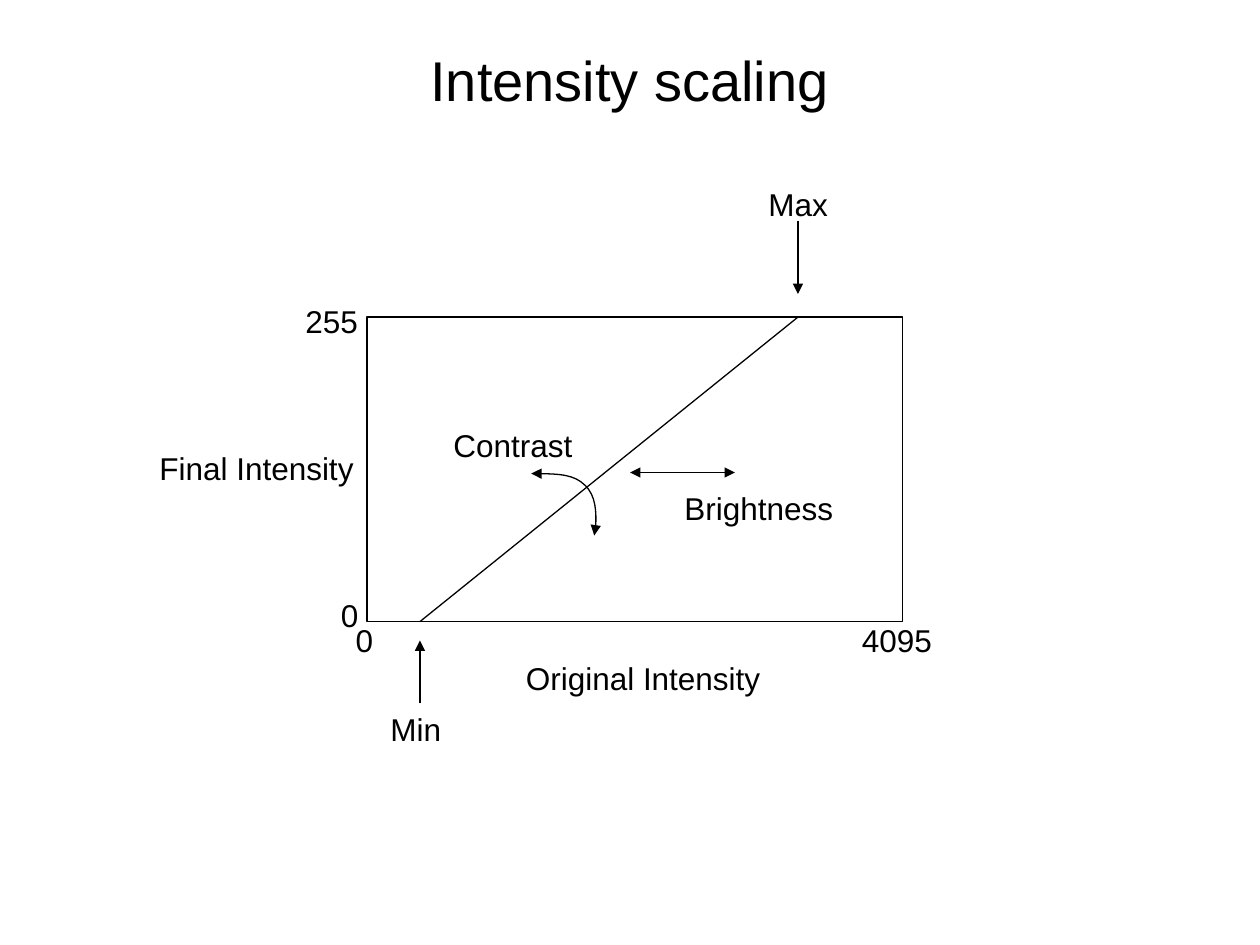
import pptx
import pptx.util
import pptx.dml.color
import pptx.enum.shapes
import pptx.enum.text
import pptx.oxml
import pptx.oxml.ns

COLORS = {"ink": "000000", "paper": "FFFFFF"}
FONT = "Arial"
WIDTH, HEIGHT = 10, 7.5
COLUMNS, ROWS = 120, 90
LABEL_ROWS = 4.8
LINE_POINTS = 0.75

TITLE = ("Intensity scaling", 6, 0, 108, 15)
LABELS = [
    ("0", 32.7, 58.6, 4.3),
    ("4095", 80.9, 58.6, 9.3),
    ("0", 31.3, 56.2, 4.3),
    ("255", 27.9, 28.2, 7.6),
    ("Original Intensity", 48.9, 62.2, 25.2),
    ("Final Intensity", 14, 42.2, 21.1),
    ("Min", 36, 67, 7.4),
    ("Max", 72, 17, 8.4),
    ("Brightness", 64, 46, 16.8),
    ("Contrast", 42, 40, 14),
]
PLOT = (34.95, 30.2, 51, 29)
PLOT_TOP, PLOT_BOTTOM = PLOT[1], PLOT[1] + PLOT[3]
MIN_COLUMN, MAX_COLUMN = 40, 76
LINES = [
    ((MIN_COLUMN, PLOT_BOTTOM), (MAX_COLUMN, PLOT_TOP), ()),
    ((MIN_COLUMN, 67), (MIN_COLUMN, 61), ("tailEnd",)),
    ((MAX_COLUMN, 21), (MAX_COLUMN, 28), ("tailEnd",)),
    ((60, 45), (70, 45), ("headEnd", "tailEnd")),
]
CONTRAST_CURVE = [
    (50.6, 45.1),
    (52.7, 45.1), (54.7, 45.2), (55.7, 46.2),
    (56.8, 47.2), (56.9, 50.2), (56.6, 51),
]


def across(column):
    return pptx.util.Inches(WIDTH * column / COLUMNS)


def down(row):
    return pptx.util.Inches(HEIGHT * row / ROWS)


def color(name):
    return pptx.dml.color.RGBColor.from_string(COLORS[name])


def element(tag, **attributes):
    node = pptx.oxml.parse_xml(f"<a:{tag} {pptx.oxml.ns.nsdecls('a')}/>")
    for key, value in attributes.items():
        node.set(key, value)
    return node


def draw_line(shape, arrows=()):
    shape.line.color.rgb = color("ink")
    shape.line.width = pptx.util.Pt(LINE_POINTS)
    for tag in arrows:
        shape.line._get_or_add_ln().append(element(tag, type="triangle"))


def add_text(page, text, left, top, width, height, size, title=False):
    box = page.shapes.add_textbox(across(left), down(top), across(width), down(height))
    frame = box.text_frame
    frame.word_wrap = title
    para = frame.paragraphs[0]
    if title:
        frame.vertical_anchor = pptx.enum.text.MSO_ANCHOR.MIDDLE
        para.alignment = pptx.enum.text.PP_ALIGN.CENTER
    else:
        frame.auto_size = pptx.enum.text.MSO_AUTO_SIZE.SHAPE_TO_FIT_TEXT
    span = para.add_run()
    span.text = text
    span.font.name = FONT
    span.font.size = pptx.util.Pt(size)
    span.font.color.rgb = color("ink")


def add_plot(page):
    left, top, width, height = PLOT
    plot = page.shapes.add_shape(
        pptx.enum.shapes.MSO_SHAPE.RECTANGLE,
        across(left), down(top), across(width), down(height))
    plot.shadow.inherit = False
    plot.fill.background()
    draw_line(plot)


def add_line(page, start, end, arrows):
    line = page.shapes.add_connector(
        pptx.enum.shapes.MSO_CONNECTOR.STRAIGHT,
        across(start[0]), down(start[1]), across(end[0]), down(end[1]))
    draw_line(line, arrows)
    line._element.spPr.append(element("effectLst"))


def add_curve(page, points):
    corners = [(across(column), down(row)) for column, row in points]
    builder = page.shapes.build_freeform(*corners[0])
    builder.add_line_segments(corners[1:], close=False)
    curve = builder.convert_to_shape()
    curve.shadow.inherit = False
    curve.fill.background()
    draw_line(curve, ("headEnd", "tailEnd"))
    segments = curve._element.xpath(".//a:lnTo")
    outline = segments[0].getparent()
    for first in range(0, len(segments), 3):
        bezier = element("cubicBezTo")
        for segment in segments[first:first + 3]:
            bezier.append(segment[0])
            outline.remove(segment)
        outline.append(bezier)


def main():
    deck = pptx.Presentation()
    deck.slide_width = pptx.util.Inches(WIDTH)
    deck.slide_height = pptx.util.Inches(HEIGHT)
    page = deck.slides.add_slide(deck.slide_layouts[6])
    page.background.fill.solid()
    page.background.fill.fore_color.rgb = color("paper")
    add_text(page, *TITLE, size=32, title=True)
    add_plot(page)
    for line in LINES:
        add_line(page, *line)
    add_curve(page, CONTRAST_CURVE)
    for label in LABELS:
        add_text(page, *label, LABEL_ROWS, size=18)
    deck.save("out.pptx")


if __name__ == "__main__":
    main()
